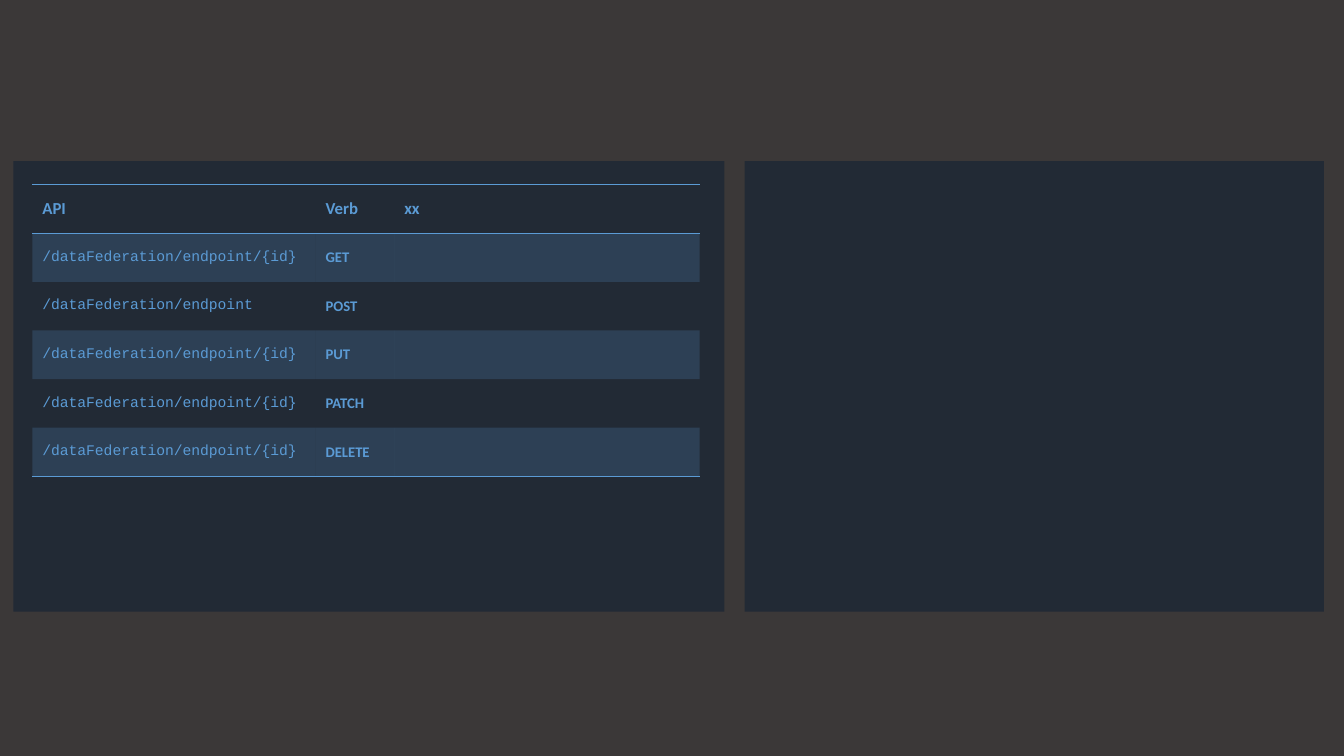
from typing import NamedTuple

from lxml.etree import SubElement
from pptx import Presentation
from pptx.dml.color import RGBColor
from pptx.enum.shapes import MSO_SHAPE
from pptx.enum.text import MSO_ANCHOR
from pptx.oxml.ns import qn
from pptx.slide import Slide
from pptx.table import _Cell as Cell
from pptx.util import Inches, Pt

HUES = {"back": "3B3838", "panel": "222A35", "accent": "5B9BD5"}
PLAIN = "{2D5ABB26-0587-4C30-8999-92F81FD0307C}"  # no style, no grid
WIDE, HIGH = Inches(13.33), Inches(7.5)
COLS = (2.81, 0.78, 3.03)
ROW = 0.483
ONE = "/dataFederation/endpoint/{id}"
ALL = "/dataFederation/endpoint"


class Panel(NamedTuple):
    """A dark panel, its left edge and width as shares of the slide width."""
    left: float
    width: float


class Call(NamedTuple):
    """One row of the API table."""
    path_text: str
    verb: str
    note: str = ""


PANELS = (Panel(0.01, 0.529), Panel(0.554, 0.431))
CALLS = (
    Call("API", "Verb", "xx"),
    Call(ONE, "GET"),
    Call(ALL, "POST"),
    Call(ONE, "PUT"),
    Call(ONE, "PATCH"),
    Call(ONE, "DELETE"),
)


def hue(name: str) -> RGBColor:
    """Look up a colour by name."""
    return RGBColor.from_string(HUES[name])


def draw_panel(slide: Slide, panel: Panel) -> None:
    """Draw one plain panel."""
    box = slide.shapes.add_shape(
        MSO_SHAPE.RECTANGLE, int(panel.left * WIDE), int(0.213 * HIGH),
        int(panel.width * WIDE), int(0.596 * HIGH))
    box.shadow.inherit = False
    box.fill.solid()
    box.fill.fore_color.rgb = hue("panel")
    box.line.fill.background()


def add_rule(cell: Cell, side: str) -> None:
    """Add a 1 pt accent border on side T or B of a cell."""
    line = SubElement(cell._tc.get_or_add_tcPr(), qn(f"a:ln{side}"), w=str(Pt(1)))
    fill = SubElement(line, qn("a:solidFill"))
    SubElement(fill, qn("a:srgbClr"), val=HUES["accent"])


def fill_cell(cell: Cell, band: bool) -> None:
    """Fill a banded cell with a 20 % accent tint, or leave it clear."""
    if not band:
        cell.fill.background()
        return
    cell.fill.solid()
    cell.fill.fore_color.rgb = hue("accent")
    tint = cell._tc.tcPr.find(qn("a:solidFill")).find(qn("a:srgbClr"))
    SubElement(tint, qn("a:alpha"), val="20000")


def set_text(cell: Cell, text: str, head: bool, code: bool) -> None:
    """Write a cell's text as heading, code or bold verb."""
    cell.vertical_anchor = MSO_ANCHOR.MIDDLE
    cell.text_frame.text = text
    font = cell.text_frame.paragraphs[0].font
    font.size = Pt(12 if head else 10.5)
    for run in cell.text_frame.paragraphs[0].runs:
        run.font.size = font.size
        run.font.name = "Courier New" if code else "Calibri"
        run.font.bold = not code
        run.font.color.rgb = hue("accent")


def draw_table(slide: Slide) -> None:
    """Draw the table of API calls."""
    table = slide.shapes.add_table(
        len(CALLS), len(COLS), Inches(0.32), Inches(1.83),
        Inches(sum(COLS)), Inches(ROW * len(CALLS))).table
    table._tbl.tblPr.find(qn("a:tableStyleId")).text = PLAIN
    for col, width in zip(table.columns, COLS):
        col.width = Inches(width)
    last = len(CALLS) - 1
    for r, call in enumerate(CALLS):
        table.rows[r].height = Inches(ROW)
        for c, text in enumerate(call):
            cell = table.cell(r, c)
            set_text(cell, text, r == 0, r > 0 and c == 0)
            if r == 0:
                add_rule(cell, "T")
            if r in (0, last):
                add_rule(cell, "B")
            fill_cell(cell, r % 2 == 1)


def main() -> None:
    """Build the slide and save it."""
    deck = Presentation()
    deck.slide_width, deck.slide_height = WIDE, HIGH
    slide = deck.slides.add_slide(deck.slide_layouts[6])
    slide.background.fill.solid()
    slide.background.fill.fore_color.rgb = hue("back")
    for panel in PANELS:
        draw_panel(slide, panel)
    draw_table(slide)
    deck.save("out.pptx")


main()
